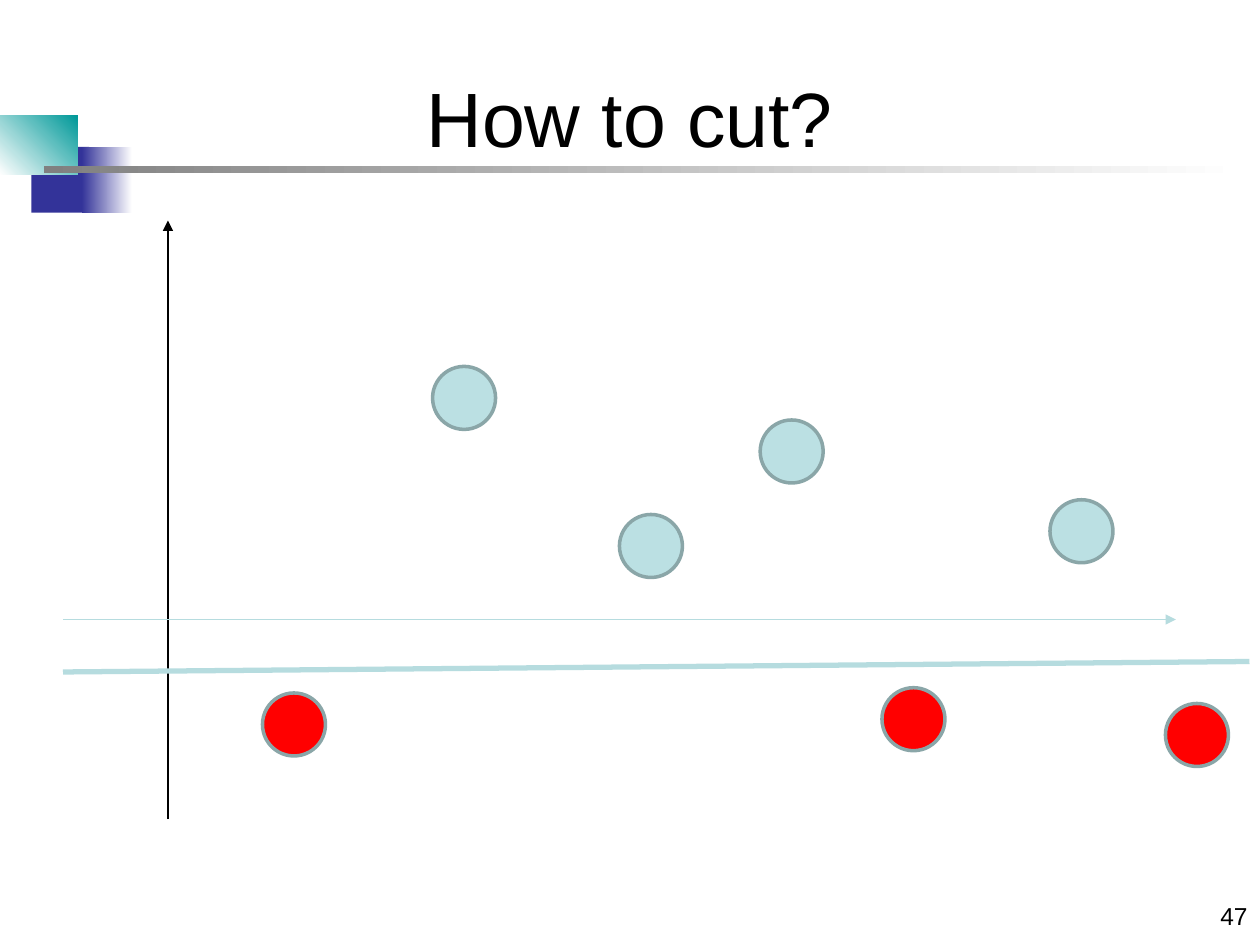
from dataclasses import dataclass

import lxml.etree
import pptx
import pptx.dml.color
import pptx.enum.shapes
import pptx.enum.text
import pptx.oxml.ns
import pptx.util

SHAPE = pptx.enum.shapes.MSO_SHAPE
ALIGN = pptx.enum.text.PP_ALIGN
ANCHOR = pptx.enum.text.MSO_ANCHOR
CELL = pptx.util.Inches(1) / 12  # grid of 120 columns by 90 rows


@dataclass(frozen=True)
class Theme:
    font: str = "Arial"
    title_size: int = 44
    number_size: int = 14
    ink: str = "000000"
    paper: str = "FFFFFF"
    navy: str = "333399"
    teal: str = "009999"
    grey: str = "808080"
    positive: str = "BBE0E3"
    negative: str = "FF0000"
    outline: str = "8AA6A8"
    cut: str = "B6DCDF"
    thin: float = 0.75
    medium: float = 2
    thick: float = 3


THEME = Theme()


@dataclass(frozen=True)
class Box:
    """Area measured in grid columns and rows."""
    left: float
    top: float
    width: float
    height: float

    def inner(self, column, row, width, height):
        return Box(self.left + column, self.top + row, width, height)

    def point(self, column, row):
        return round((self.left + column) * CELL), round((self.top + row) * CELL)

    def extent(self):
        return (*self.point(0, 0), round(self.width * CELL), round(self.height * CELL))


def rgb(colour):
    return pptx.dml.color.RGBColor.from_string(colour)


def add_text(slide, box, text, size, align=ALIGN.LEFT, anchor=ANCHOR.TOP, space_before=0):
    frame = slide.shapes.add_textbox(*box.extent()).text_frame
    frame.word_wrap = True
    frame.vertical_anchor = anchor
    paragraph = frame.paragraphs[0]
    paragraph.alignment = align
    paragraph.space_before = pptx.util.Pt(space_before)
    run = paragraph.add_run()
    run.text = text
    run.font.name = THEME.font
    run.font.size = pptx.util.Pt(size)
    run.font.color.rgb = rgb(THEME.ink)


def add_filled(slide, kind, box, colours, angle=0, outline=None):
    """Add a shape with one colour, or a gradient between two (angle counter-clockwise)."""
    shape = slide.shapes.add_shape(kind, *box.extent())
    shape.shadow.inherit = False
    if len(colours) == 1:
        shape.fill.solid()
        shape.fill.fore_color.rgb = rgb(colours[0])
    else:
        shape.fill.gradient()
        shape.fill.gradient_angle = angle
        for stop, colour, position in zip(shape.fill.gradient_stops, colours, (0, 1)):
            stop.color.rgb = rgb(colour)
            stop.position = position
    if outline:
        shape.line.color.rgb = rgb(outline)
        shape.line.width = pptx.util.Pt(THEME.medium)
    else:
        shape.line.fill.background()


def add_line(slide, start, end, colour, width, arrow=False):
    line = slide.shapes.add_connector(
        pptx.enum.shapes.MSO_CONNECTOR.STRAIGHT, *start, *end)
    line.line.color.rgb = rgb(colour)
    line.line.width = pptx.util.Pt(width)
    qn = pptx.oxml.ns.qn
    properties = line.element.find(qn("p:spPr"))
    if arrow:
        lxml.etree.SubElement(properties.find(qn("a:ln")), qn("a:tailEnd"), type="triangle")
    lxml.etree.SubElement(properties, qn("a:effectLst"))


def add_banner(slide, box):
    """Place the overlapping colour blocks and the fading rule."""
    blocks = [
        ((3, 3, 5.5, 6.25), (THEME.navy,), 0),
        ((7.8, 3, 4.8, 6.25), (THEME.navy, THEME.paper), 0),
        ((0, 0, 7.4, 5.6), (THEME.paper, THEME.teal), 45),
        ((4.2, 4.8, 114.1, 0.7), (THEME.grey, THEME.paper), 0),
    ]
    for place, colours, angle in blocks:
        add_filled(slide, SHAPE.RECTANGLE, box.inner(*place), colours, angle)


def add_heading(slide, box):
    add_text(slide, box, "How to cut?", THEME.title_size,
             align=ALIGN.CENTER, anchor=ANCHOR.MIDDLE)


def add_scatter(slide, box):
    """Draw the axes, the two classes of points and the line that separates them."""
    axis_column, axis_row, point_size = 10, 38, 6
    points = {
        THEME.positive: [(35.2, 13.9), (53, 28), (66.4, 19), (94, 26.6)],
        THEME.negative: [(19, 45), (78, 44.5), (105, 46)],
    }
    add_line(slide, box.point(axis_column, box.height), box.point(axis_column, 0),
             THEME.ink, THEME.thin, arrow=True)
    add_line(slide, box.point(0, axis_row), box.point(106, axis_row),
             THEME.cut, THEME.thin, arrow=True)
    for colour, places in points.items():
        for column, row in places:
            add_filled(slide, SHAPE.FLOWCHART_CONNECTOR,
                       box.inner(column, row, point_size, point_size),
                       (colour,), outline=THEME.outline)
    add_line(slide, box.point(box.width, 42), box.point(0, 43), THEME.cut, THEME.thick)


def add_page_number(slide, box):
    add_text(slide, box, "47", THEME.number_size, align=ALIGN.RIGHT,
             space_before=THEME.number_size / 2)


def main():
    deck = pptx.Presentation()
    deck.slide_width = round(120 * CELL)
    deck.slide_height = round(90 * CELL)
    slide = deck.slides.add_slide(deck.slide_layouts[6])
    slide.background.fill.solid()
    slide.background.fill.fore_color.rgb = rgb(THEME.paper)
    add_page_number(slide, Box(108, 85.2, 12, 4))
    add_banner(slide, Box(0, 11, 120, 9.25))
    add_heading(slide, Box(6, 3.6, 108, 15))
    add_scatter(slide, Box(6, 21, 113, 57))
    deck.save("out.pptx")


if __name__ == "__main__":
    main()
